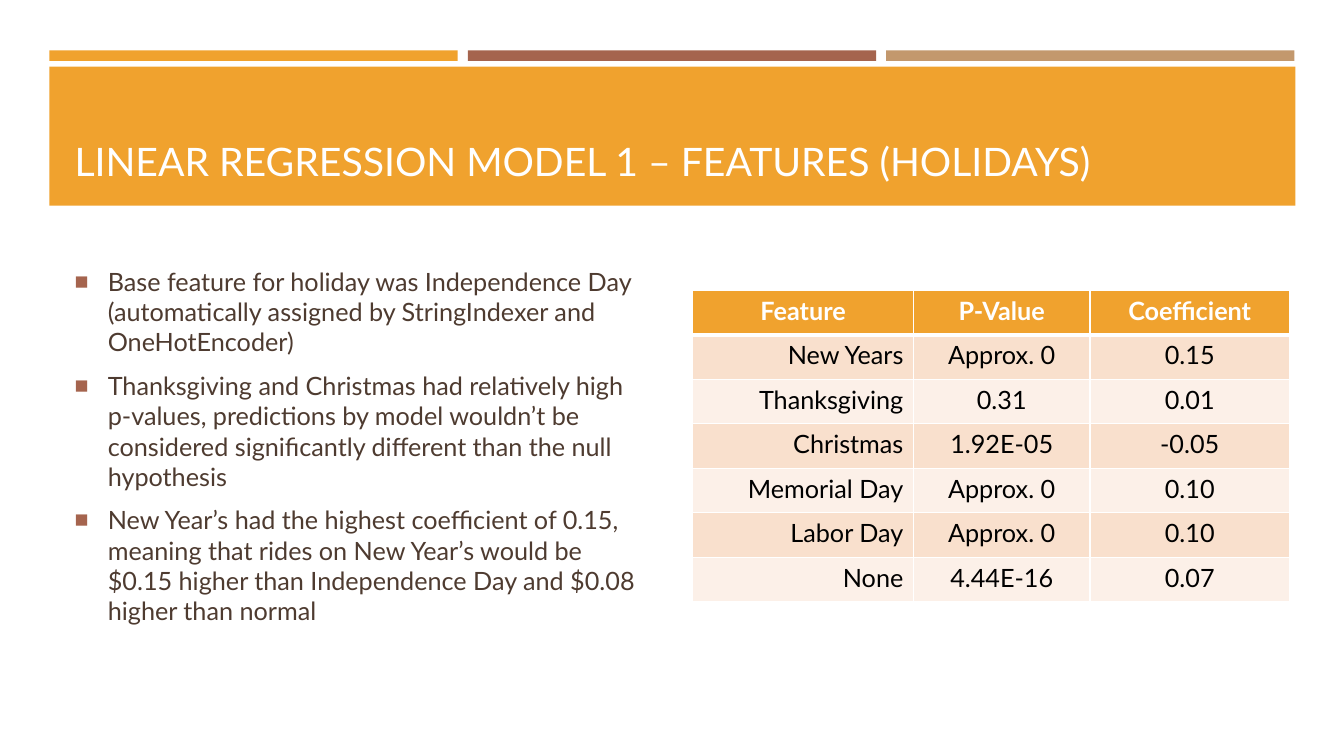
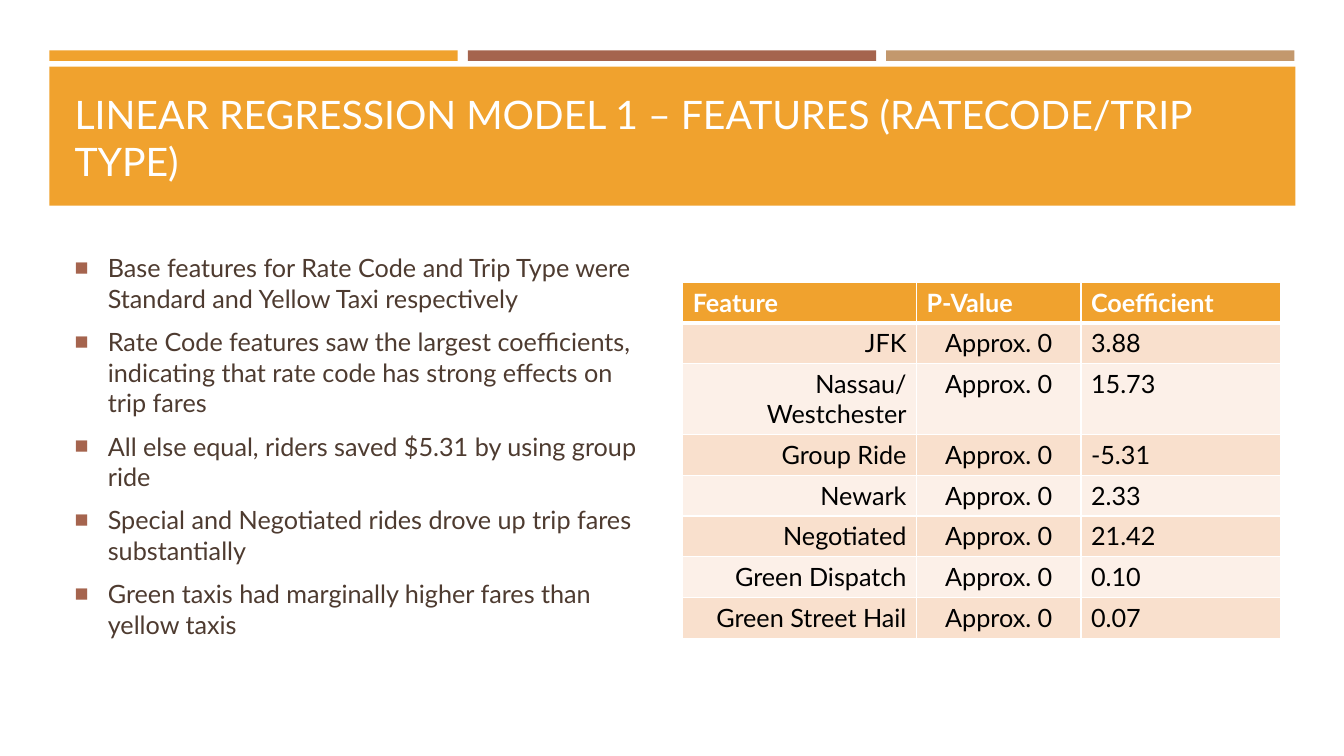
from dataclasses import dataclass

from lxml.etree import SubElement as Sub
from pptx import Presentation as Pres
from pptx.dml.color import RGBColor as RGB
from pptx.enum.shapes import MSO_SHAPE as Form
from pptx.enum.text import MSO_ANCHOR as Anchor, MSO_AUTO_SIZE as Auto, PP_ALIGN as Align
from pptx.oxml.ns import qn
from pptx.util import Emu, Inches, Pt


@dataclass(frozen=True)
class Theme:
    font: str = "Lato"
    gold: str = "F0A22E"
    rust: str = "A5644E"
    tan: str = "C3986D"
    ink: str = "4E3B30"
    white: str = "FFFFFF"
    black: str = "000000"
    odd: str = "F9E0CD"
    even: str = "FCF0E8"
    head: int = 28
    text: int = 18


LEFT, MID, RIGHT = Align.LEFT, Align.CENTER, Align.RIGHT

# Boxes are left, top, width, height in percent of the slide.
BAR = (3.68, 6.67, 30.38, 1.4)
STEP = 31.13
BAND = (3.68, 8.8, 92.7, 18.4)
TITLE = (4.8, 10.67, 90.47, 14.4)
LIST = (4.8, 32.53, 44.48, 52.93)


def put(obj, **vals):
    for name, val in vals.items():
        setattr(obj, name, val)


class Deck:
    def __init__(self, theme):
        self.look = theme
        self.pres = Pres()
        put(self.pres, slide_width=Inches(13.33), slide_height=Inches(7.5))
        self.base = self.pres.slide_layouts[1]
        self.slide = None

    def wide(self, part):
        return Emu(round(self.pres.slide_width * part / 100))

    def high(self, part):
        return Emu(round(self.pres.slide_height * part / 100))

    def frame(self, box):
        x, y, w, h = box
        return self.wide(x), self.high(y), self.wide(w), self.high(h)

    def move(self, shape, box):
        put(shape, **dict(zip(("left", "top", "width", "height"), self.frame(box))))

    def page(self):
        first = self.slide is None
        self.slide = self.pres.slides.add_slide(self.base)
        if first:
            self.bands()

    def bands(self):
        """Draw the bars and title band once, then hand them to the layout."""
        x, y, w, h = BAR
        look = self.look
        bars = [((x + n * STEP, y, w, h), tint)
                for n, tint in enumerate((look.gold, look.rust, look.tan))]
        for n, (box, tint) in enumerate(bars + [(BAND, look.gold)]):
            bar = self.slide.shapes.add_shape(Form.RECTANGLE, *self.frame(box))
            bar.shadow.inherit = False
            bar.fill.solid()
            bar.fill.fore_color.rgb = RGB.from_string(tint)
            bar.line.fill.background()
            bar.element.nvSpPr.cNvPr.set("id", str(20 + n))
            self.base.shapes.element.append(bar.element)

    def say(self, para, text, size, tint, bold=False):
        run = para.add_run()
        run.text = text
        put(run.font, name=self.look.font, size=Pt(size), bold=bold)
        run.font.color.rgb = RGB.from_string(tint)

    def title(self, text):
        shape = self.slide.shapes.title
        self.move(shape, TITLE)
        body = shape.text_frame
        put(body, word_wrap=True, auto_size=Auto.NONE, vertical_anchor=Anchor.BOTTOM)
        para = body.paragraphs[0]
        para.alignment = LEFT
        self.say(para, text, self.look.head, self.look.white)

    def points(self, items):
        shape = self.slide.placeholders[1]
        self.move(shape, LIST)
        body = shape.text_frame
        put(body, word_wrap=True, auto_size=Auto.NONE, vertical_anchor=Anchor.MIDDLE)
        for n, item in enumerate(items):
            para = body.add_paragraph() if n else body.paragraphs[0]
            put(para, alignment=LEFT, space_before=Pt(3.6), space_after=Pt(6))
            self.mark(para)
            self.say(para, item, self.look.text, self.look.ink)

    def mark(self, para):
        """Give a paragraph its square bullet and hanging indent."""
        prop = para._p.get_or_add_pPr()
        hang = Inches(0.33)
        prop.set("marL", str(hang))
        prop.set("indent", str(-hang))
        Sub(Sub(prop, qn("a:buClr")), qn("a:srgbClr"), val=self.look.rust)
        Sub(prop, qn("a:buSzPct"), val="92000")
        Sub(prop, qn("a:buChar"), char="■")

    def edge(self, cell, **lines):
        """Draw white cell borders; lines maps a side to its width in points."""
        prop = cell._tc.get_or_add_tcPr()
        for side, size in lines.items():
            line = Sub(prop, qn("a:ln" + side), w=str(Pt(size)))
            Sub(Sub(line, qn("a:solidFill")), qn("a:srgbClr"), val=self.look.white)

    def table(self, box, cols, rows, tops, sides):
        """Add a table; tops and sides align the header and the body columns."""
        look = self.look
        grid = self.slide.shapes.add_table(len(rows), len(cols), *self.frame(box)).table
        grid.horz_banding = False
        for col, part in zip(grid.columns, cols):
            col.width = self.wide(part)
        for r, row in enumerate(rows):
            grid.rows[r].height = self.high(box[3] / len(rows))
            top = r == 0
            back = look.gold if top else look.odd if r % 2 else look.even
            for c, text in enumerate(row):
                cell = grid.cell(r, c)
                self.edge(cell, L=1, R=1, T=3 if r == 1 else 1, B=3 if top else 1)
                cell.fill.solid()
                cell.fill.fore_color.rgb = RGB.from_string(back)
                para = cell.text_frame.paragraphs[0]
                para.alignment = (tops if top else sides)[c]
                self.say(para, text, look.text, look.white if top else look.black, top)


HEADS = ("Feature", "P-Value", "Coefficient")
NIL = "Approx. 0"

PAGES = [
    dict(
        title="LINEAR REGRESSION MODEL 1 – FEATURES (HOLIDAYS)",
        points=[
            "Base feature for holiday was Independence Day (automatically assigned by "
            "StringIndexer and OneHotEncoder)",
            "Thanksgiving and Christmas had relatively high p-values, predictions by model "
            "wouldn’t be considered significantly different than the null hypothesis",
            "New Year’s had the highest coefficient of 0.15, meaning that rides on New Year’s "
            "would be $0.15 higher than Independence Day and $0.08 higher than normal",
        ],
        table=dict(
            box=(51.54, 38.4, 44.4, 41.2),
            cols=(16.43, 13.13, 14.85),
            tops=(MID, MID, MID),
            sides=(RIGHT, MID, MID),
            rows=[
                HEADS,
                ("New Years", NIL, "0.15"),
                ("Thanksgiving", "0.31", "0.01"),
                ("Christmas", "1.92E-05", "-0.05"),
                ("Memorial Day", NIL, "0.10"),
                ("Labor Day", NIL, "0.10"),
                ("None", "4.44E-16", "0.07"),
            ],
        ),
    ),
    dict(
        title="LINEAR REGRESSION MODEL 1 – FEATURES (RATECODE/TRIP TYPE)",
        points=[
            "Base features for Rate Code and Trip Type were Standard and Yellow Taxi respectively",
            "Rate Code features saw the largest coefficients, indicating that rate code has "
            "strong effects on trip fares",
            "All else equal, riders saved $5.31 by using group ride",
            "Special and Negotiated rides drove up trip fares substantially",
            "Green taxis had marginally higher fares than yellow taxis",
        ],
        table=dict(
            box=(50.8, 37.33, 44.48, 43.2),
            cols=(17.4, 12.23, 14.85),
            tops=(LEFT, LEFT, LEFT),
            sides=(RIGHT, MID, LEFT),
            rows=[
                HEADS,
                ("JFK", NIL, "3.88"),
                ("Nassau/Westchester", NIL, "15.73"),
                ("Group Ride", NIL, "-5.31"),
                ("Newark", NIL, "2.33"),
                ("Negotiated", NIL, "21.42"),
                ("Green Dispatch", NIL, "0.10"),
                ("Green Street Hail", NIL, "0.07"),
            ],
        ),
    ),
]


def main():
    deck = Deck(Theme())
    for page in PAGES:
        deck.page()
        deck.title(page["title"])
        deck.points(page["points"])
        deck.table(**page["table"])
    deck.pres.save("out.pptx")


if __name__ == "__main__":
    main()
